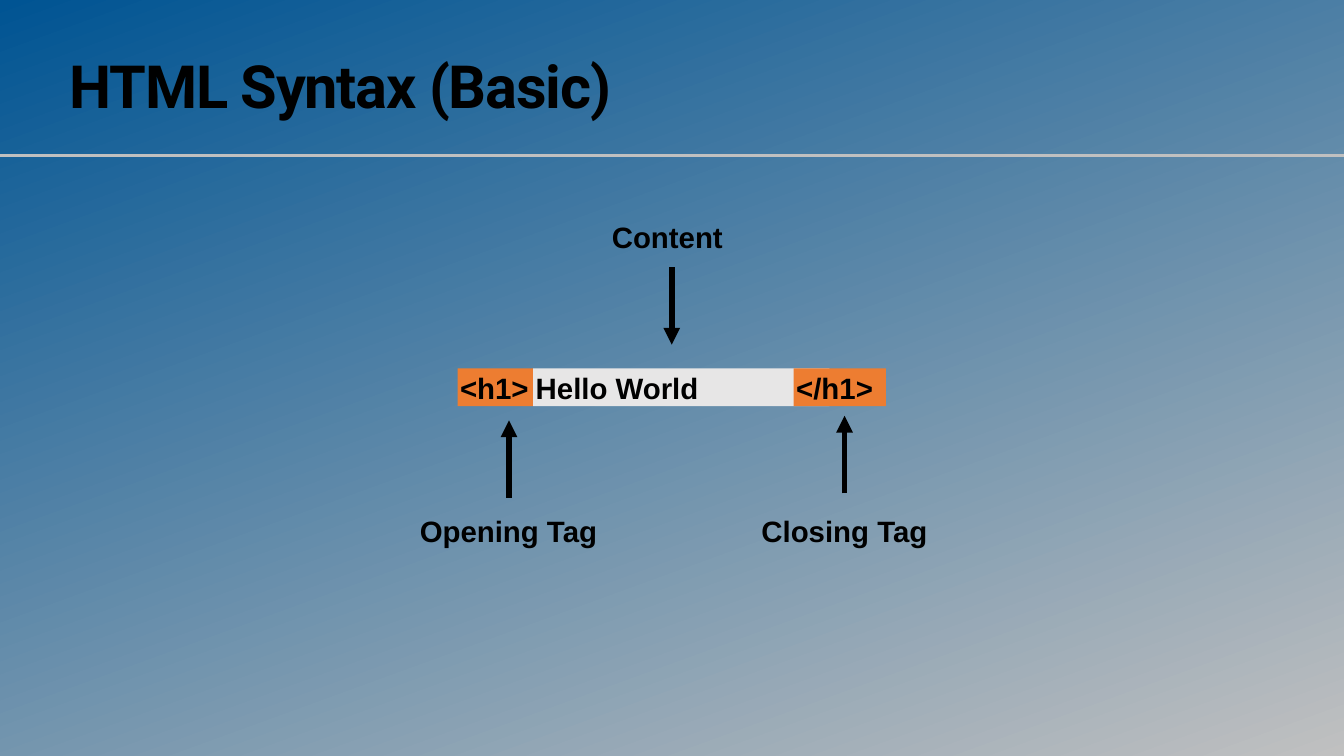
import pptx
import pptx.dml.color
import pptx.enum.shapes
import pptx.enum.text
import pptx.oxml
import pptx.oxml.ns
import pptx.util

Inches = pptx.util.Inches
Pt = pptx.util.Pt

BLUE, GRAY, BLACK = "005493", "C0C0C0", "000000"
ORANGE, PALE = "ED7D31", "E7E6E6"


def color(value):
    return pptx.dml.color.RGBColor.from_string(value)


def write(shape, text, font="Arial", size=42, ink=BLACK, inset=0.05, wrap=True,
          anchor=pptx.enum.text.MSO_ANCHOR.TOP, fit=True, line_spacing=None, tracking=None):
    frame = shape.text_frame
    frame.word_wrap = wrap
    frame.vertical_anchor = anchor
    auto = pptx.enum.text.MSO_AUTO_SIZE
    frame.auto_size = auto.SHAPE_TO_FIT_TEXT if fit else auto.NONE
    frame.margin_left = frame.margin_right = Inches(inset)
    frame.margin_top = frame.margin_bottom = Inches(inset)
    paragraph = frame.paragraphs[0]
    paragraph.alignment = pptx.enum.text.PP_ALIGN.LEFT
    if line_spacing:
        paragraph.line_spacing = line_spacing
    run = paragraph.add_run()
    run.text = text
    run.font.name, run.font.size, run.font.bold = font, Pt(size), True
    run.font.color.rgb = color(ink)
    if tracking:
        run.font._element.set("spc", str(round(tracking * 100)))


class SlideBuilder:
    """Holds the current slide and the measures its elements share."""

    row_height = 0.75
    arrow_length = 1.54

    def __init__(self, slide):
        self.slide = slide

    def background(self, start, end, angle):
        """Fill with a gradient; the angle runs clockwise in degrees."""
        fill = self.slide.background.fill
        fill.gradient()
        fill.gradient_angle = 360 - angle
        for stop, value in zip(fill.gradient_stops, (start, end)):
            stop.color.rgb = color(value)
        fill.gradient_stops[0].position = 0
        fill.gradient_stops[1].position = 1

    def title(self, text, left, top, width, height):
        title = self.slide.shapes.title
        title.left, title.top = Inches(left), Inches(top)
        title.width, title.height = Inches(width), Inches(height)
        write(title, text, font="Roboto", size=85, inset=0.06, fit=False,
              line_spacing=0.8, tracking=-1.7)

    def code_block(self, text, left, width, fill):
        block = self.slide.shapes.add_shape(
            pptx.enum.shapes.MSO_SHAPE.RECTANGLE,
            Inches(left), Inches(7.31), Inches(width), Inches(self.row_height))
        block.shadow.inherit = False
        block.fill.solid()
        block.fill.fore_color.rgb = color(fill)
        block.line.fill.background()
        write(block, text, anchor=pptx.enum.text.MSO_ANCHOR.MIDDLE)

    def label(self, text, left, top, width):
        label = self.slide.shapes.add_textbox(
            Inches(left), Inches(top), Inches(width), Inches(self.row_height))
        write(label, text, wrap=False, anchor=pptx.enum.text.MSO_ANCHOR.MIDDLE)

    def line(self, x1, y1, x2, y2, ink, weight):
        line = self.slide.shapes.add_connector(
            pptx.enum.shapes.MSO_CONNECTOR.STRAIGHT,
            Inches(x1), Inches(y1), Inches(x2), Inches(y2))
        line.line.color.rgb = color(ink)
        line.line.width = Pt(weight)
        line._element.spPr.append(pptx.oxml.parse_xml(
            f"<a:effectLst {pptx.oxml.ns.nsdecls('a')}/>"))
        return line

    def arrow(self, x, start, direction):
        """Vertical arrow; direction is 1 for down and -1 for up."""
        arrow = self.line(x, start, x, start + direction * self.arrow_length, BLACK, 8)
        arrow.line._get_or_add_ln().append(pptx.oxml.parse_xml(
            f"<a:tailEnd {pptx.oxml.ns.nsdecls('a')} type='triangle'/>"))


def main():
    deck = pptx.Presentation()
    deck.slide_width, deck.slide_height = Inches(26.67), Inches(15)
    page = SlideBuilder(deck.slides.add_slide(deck.slide_layouts[5]))

    page.background(BLUE, GRAY, 70)
    page.line(-0.22, 3.09, 27.23, 3.09, GRAY, 4)
    page.title("HTML Syntax (Basic)", 1.32, 1.18, 24.03, 1.57)

    for text, left, width, fill in (
        ("<h1>", 9.08, 1.5, ORANGE),
        ("Hello World", 10.58, 5.88, PALE),
        ("</h1>", 15.75, 1.83, ORANGE),
    ):
        page.code_block(text, left, width, fill)

    for text, left, top, width, arrow_x, arrow_start, direction in (
        ("Opening Tag", 8.28, 10.16, 3.64, 10.1, 9.88, -1),
        ("Closing Tag", 15.06, 10.16, 3.41, 16.76, 9.79, -1),
        ("Content", 12.09, 4.32, 2.48, 13.33, 5.3, 1),
    ):
        page.label(text, left, top, width)
        page.arrow(arrow_x, arrow_start, direction)

    deck.save("out.pptx")


if __name__ == "__main__":
    main()
